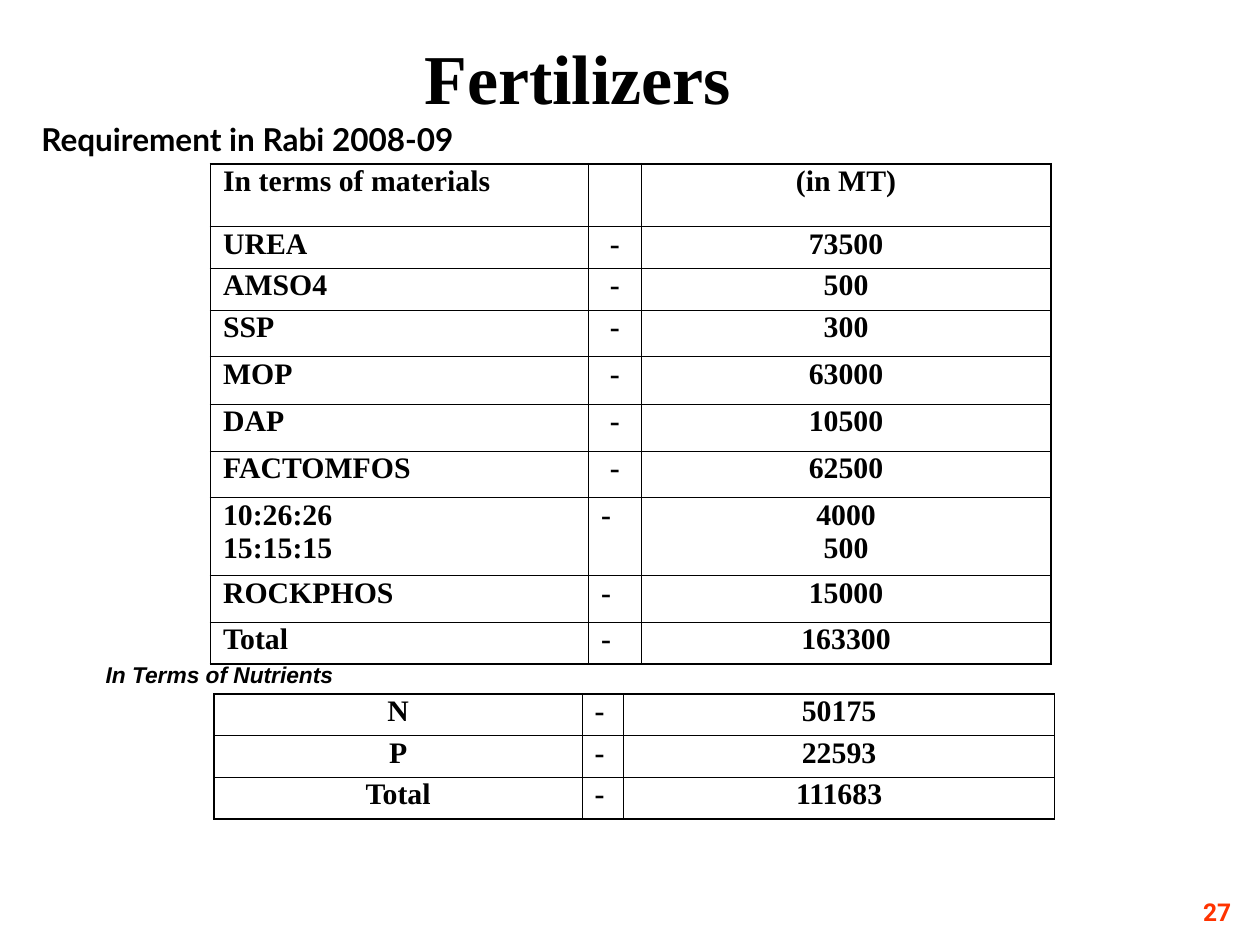
from lxml import etree
from pptx import Presentation
from pptx import util as u
from pptx.dml import color
from pptx.enum import text
from pptx.oxml import ns

ALIGN = {"l": text.PP_ALIGN.LEFT, "c": text.PP_ALIGN.CENTER}
THICK, THIN = 1.08, 0.45
BLACK = "000000"
MATERIALS = [
    ("In terms of materials", "", "(in MT)", "lcc", 5),
    ("UREA", "-", "73500", "lcc", 3.3),
    ("AMSO4", "-", "500", "lcc", 3.3),
    ("SSP", "-", "300", "lcc", 3.7),
    ("MOP", "-", "63000", "lcc", 3.8),
    ("DAP", "-", "10500", "lcc", 3.7),
    ("FACTOMFOS", "-", "62500", "lcc", 3.7),
    ("10:26:26\n15:15:15", "-", "4000\n500", "llc", 6.2),
    ("ROCKPHOS", "-", "15000", "llc", 3.7),
    ("Total", "-", "163300", "llc", 3.3),
]
NUTRIENTS = [
    ("N", "-", "50175", "clc", 3.3),
    ("P", "-", "22593", "clc", 3.3),
    ("Total", "-", "111683", "clc", 3.3),
]


def rgb(value):
    return color.RGBColor.from_string(value)


def apply(target, values):
    for name, value in values.items():
        setattr(target, name, value)


class SlideBuilder:
    columns, rows = 100, 75
    title_font = {"name": "Times New Roman", "size": u.Pt(40), "bold": True}
    cell_font = {"name": "Times New Roman", "size": u.Pt(17), "bold": True}

    def __init__(self, deck):
        self.deck = deck
        self.slide = deck.slides.add_slide(deck.slide_layouts[5])

    def across(self, count):
        return round(self.deck.slide_width * count / self.columns)

    def down(self, count):
        return round(self.deck.slide_height * count / self.rows)

    def area(self, left, top, width, height):
        return self.across(left), self.down(top), self.across(width), self.down(height)

    def paragraphs(self, frame, words, font, ink=BLACK, align="l", **spacing):
        for index, line in enumerate(words.split("\n")):
            para = frame.add_paragraph() if index else frame.paragraphs[0]
            apply(para, {"alignment": ALIGN[align], **spacing})
            para.space_before = u.Pt(4.2 if index else 0)
            holder = para
            if line:
                holder = para.add_run()
                holder.text = line
            apply(holder.font, font)
            holder.font.color.rgb = rgb(ink)

    def title(self, words, *place):
        box = self.slide.shapes.title
        apply(box, dict(zip(("left", "top", "width", "height"), self.area(*place))))
        apply(box.text_frame, {"vertical_anchor": text.MSO_ANCHOR.BOTTOM,
                               "auto_size": text.MSO_AUTO_SIZE.SHAPE_TO_FIT_TEXT})
        self.paragraphs(box.text_frame, words, self.title_font, align="c")

    def label(self, words, place, font, ink=BLACK, wrap=False, **spacing):
        box = self.slide.shapes.add_textbox(*self.area(*place))
        apply(box.text_frame, {"word_wrap": wrap,
                               "auto_size": text.MSO_AUTO_SIZE.SHAPE_TO_FIT_TEXT})
        self.paragraphs(box.text_frame, words, font, ink, **spacing)

    def borders(self, cell, widths):
        props = cell._tc.get_or_add_tcPr()
        for index, (side, width) in enumerate(widths.items()):
            line = etree.Element(ns.qn(f"a:ln{side}"), w=str(u.Pt(width)))
            fill = etree.SubElement(line, ns.qn("a:solidFill"))
            etree.SubElement(fill, ns.qn("a:srgbClr"), val=BLACK)
            props.insert(index, line)

    def table(self, left, top, widths, records):
        heights = [record[-1] for record in records]
        place = self.area(left, top, sum(widths), sum(heights))
        table = self.slide.shapes.add_table(len(records), len(widths), *place).table
        apply(table, {"first_row": False, "horz_banding": False})
        for column, width in zip(table.columns, widths):
            column.width = self.across(width)
        last_row, last_column = len(records) - 1, len(widths) - 1
        for r, (*values, aligns, height) in enumerate(records):
            table.rows[r].height = self.down(height)
            for c, (value, align) in enumerate(zip(values, aligns)):
                cell = table.cell(r, c)
                cell.fill.background()
                self.paragraphs(cell.text_frame, value, self.cell_font,
                                align=align, line_spacing=0.8)
                edges = {"L": c == 0, "R": c == last_column,
                         "T": r == 0, "B": r == last_row}
                self.borders(cell, {side: THICK if outer else THIN
                                    for side, outer in edges.items()})


def main():
    deck = Presentation()
    apply(deck, {"slide_width": u.Inches(10), "slide_height": u.Inches(7.5)})
    page = SlideBuilder(deck)
    page.title("Fertilizers", 5, 2.2, 81.7, 7.7)
    page.table(16.7, 13, (30, 4.2, 32.5), MATERIALS)
    page.label("Requirement in Rabi 2008-09", (2.3, 9, 37.6, 4),
               {"name": "Lato", "size": u.Pt(18), "bold": True})
    page.label("In Terms of Nutrients", (7.4, 52.4, 20.1, 2.8),
               {"name": "Arial", "size": u.Pt(13), "bold": True, "italic": True},
               line_spacing=0.8)
    page.table(17, 55.1, (29.2, 3.3, 34.2), NUTRIENTS)
    page.label("27", (94.5, 70.7, 5.5, 3.7),
               {"name": "Roboto", "size": u.Pt(14), "bold": True}, "FF3300", wrap=True)
    deck.save("out.pptx")


if __name__ == "__main__":
    main()
